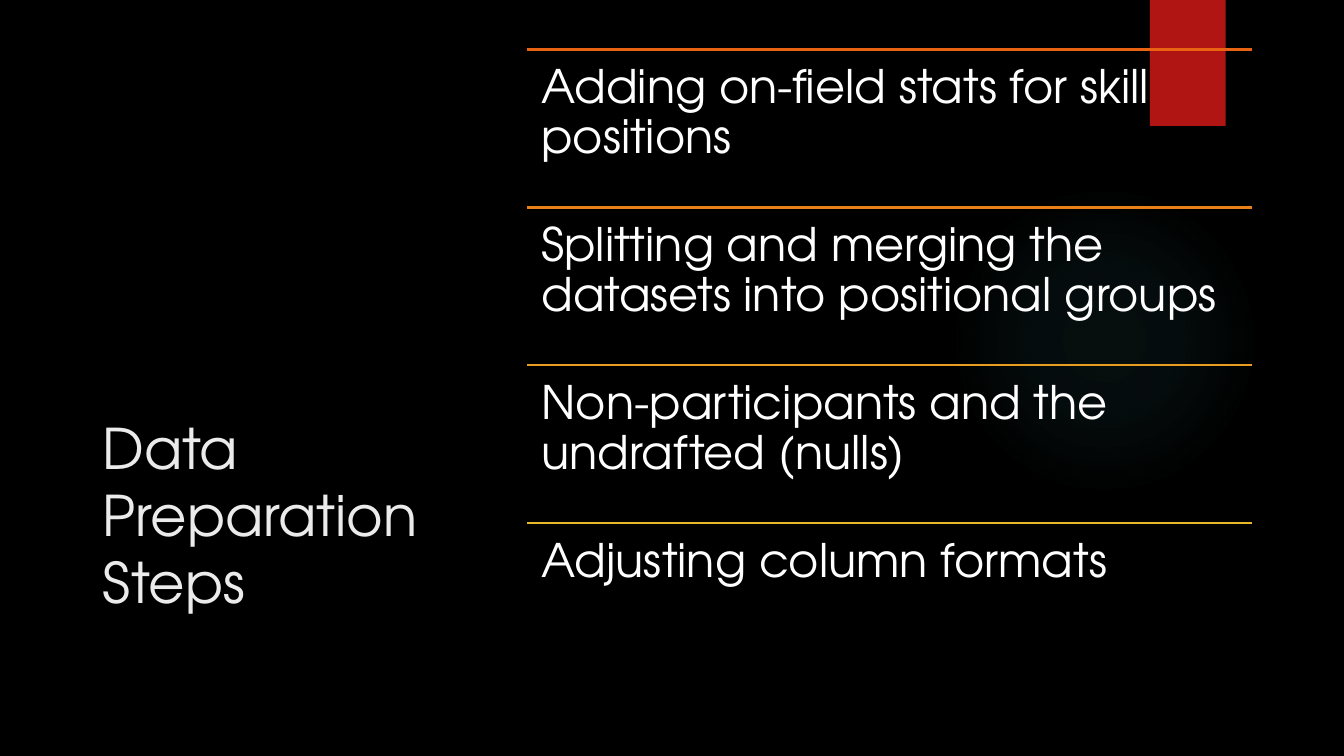
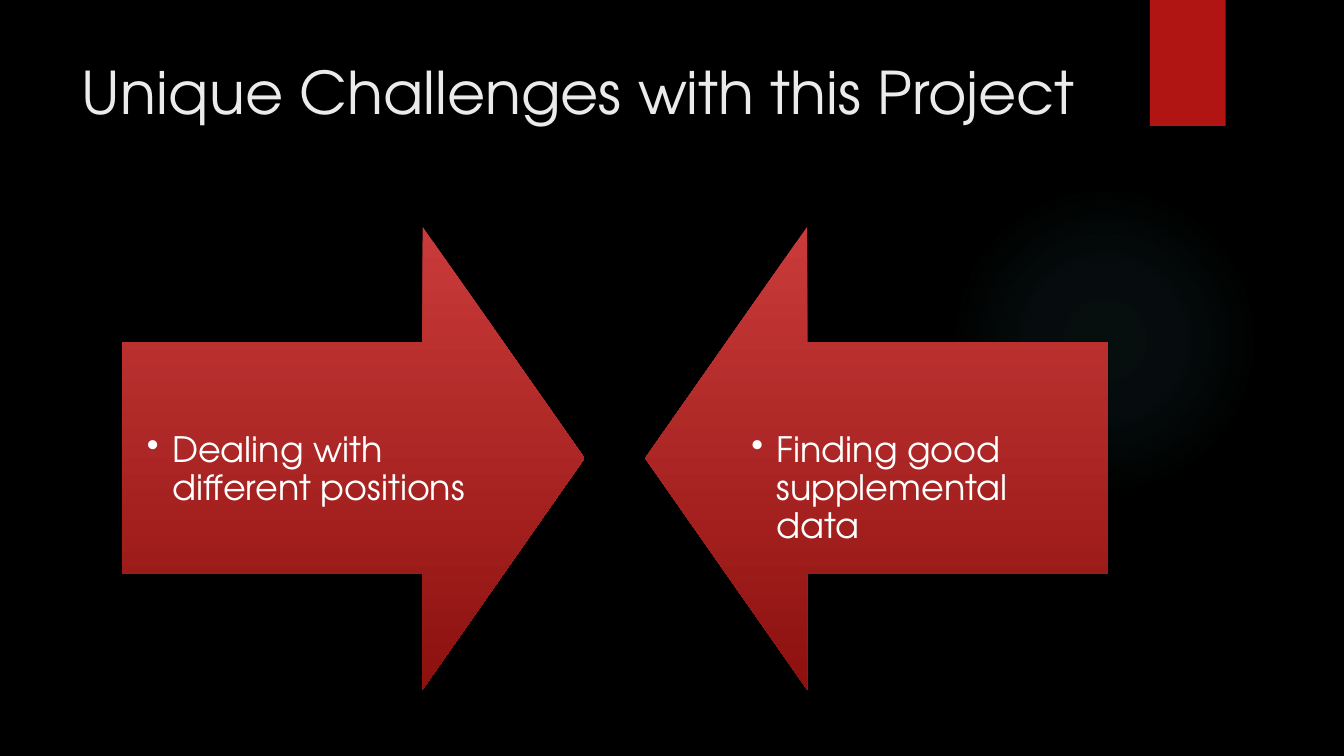
from lxml.etree import SubElement
from pptx import Presentation
from pptx.dml.color import RGBColor
from pptx.enum.shapes import MSO_CONNECTOR as Connector, MSO_SHAPE as Shape
from pptx.enum.text import MSO_ANCHOR as Anchor, MSO_AUTO_SIZE as AutoSize, PP_ALIGN as Align
from pptx.oxml import parse_xml
from pptx.oxml.ns import nsdecls, qn
from pptx.util import Emu, Pt

COLUMNS, ROWS = 160, 90
CELL = 76200
FONT = "TeX Gyre Adventor"
TITLE_ONLY = 5
COLORS = {
    "background": "000000",
    "title": "EBEBEB",
    "text": "FFFFFF",
    "tab": "B01513",
    "glow": "50B9C1",
    "arrow_light": "C93B3A",
    "arrow_dark": "8D110F",
    "step_1": "EA6312",
    "step_2": "EA8118",
    "step_3": "E89D21",
    "step_4": "E6B729",
}
GLOW_STOPS = ((0, 7), (36, 6), (69, 0), (100, 0))


def grid(*cells):
    return [Emu(round(cell * CELL)) for cell in cells]


def color(name):
    return RGBColor.from_string(COLORS[name])


class Deck:
    def __init__(self):
        self.presentation = Presentation()
        self.presentation.slide_width, self.presentation.slide_height = grid(COLUMNS, ROWS)
        background = self.presentation.slide_master.background.fill
        background.solid()
        background.fore_color.rgb = color("background")
        self.slide = None

    def new_slide(self, title, box, size):
        layout = self.presentation.slide_layouts[TITLE_ONLY]
        self.slide = self.presentation.slides.add_slide(layout)
        self.glow(113, 22, 37)
        self.tab(136.9, 0, 9, 15)
        shape = self.slide.shapes.title
        shape.left, shape.top, shape.width, shape.height = grid(*box)
        self.set_text(shape.text_frame, title, size, "title")

    def set_text(self, frame, text, size, ink, spacing=1.0, insets=None, bullet=False):
        frame.word_wrap = True
        frame.auto_size = AutoSize.NONE
        frame.vertical_anchor = Anchor.TOP
        if insets:
            (frame.margin_left, frame.margin_top,
             frame.margin_right, frame.margin_bottom) = grid(*insets)
        paragraph = frame.paragraphs[0]
        paragraph.text = text
        paragraph.alignment = Align.LEFT
        paragraph.line_spacing = spacing
        if bullet:
            indent = 3 * CELL
            properties = paragraph._p.get_or_add_pPr()
            properties.set("marL", str(indent))
            properties.set("indent", str(-indent))
            SubElement(properties, qn("a:buChar")).set("char", "•")
        paragraph.font.name = FONT
        paragraph.font.size = Pt(size)
        paragraph.font.color.rgb = color(ink)

    def shape(self, kind, *box):
        shape = self.slide.shapes.add_shape(kind, *grid(*box))
        shape.shadow.inherit = False
        shape.line.fill.background()
        return shape

    def glow(self, left, top, diameter):
        shape = self.shape(Shape.OVAL, left, top, diameter, diameter)
        shape.fill.background()
        stops = "".join(
            f'<a:gs pos="{position * 1000}"><a:srgbClr val="{COLORS["glow"]}">'
            f'<a:alpha val="{opacity * 1000}"/></a:srgbClr></a:gs>'
            for position, opacity in GLOW_STOPS)
        gradient = parse_xml(
            f'<a:gradFill {nsdecls("a")}><a:gsLst>{stops}</a:gsLst><a:path path="circle">'
            '<a:fillToRect l="50000" t="50000" r="50000" b="50000"/></a:path></a:gradFill>')
        properties = shape._element.spPr
        properties.replace(properties.find(qn("a:noFill")), gradient)

    def tab(self, *box):
        shape = self.shape(Shape.RECTANGLE, *box)
        shape.fill.solid()
        shape.fill.fore_color.rgb = color("tab")

    def rule(self, left, top, width, ink):
        line = self.slide.shapes.add_connector(
            Connector.STRAIGHT, *grid(left, top, left + width, top))
        line.line.color.rgb = color(ink)
        line.line.width = Pt(1.5)
        SubElement(line._element.spPr, qn("a:effectLst"))

    def step(self, text, left, top, width, height, ink):
        self.rule(left, top, width, ink)
        box = self.slide.shapes.add_textbox(*grid(left, top, width, height))
        self.set_text(box.text_frame, text, 33, "text", 0.9, [1.7] * 4)

    def arrow(self, kind, text, left, top, side):
        shape = self.shape(kind, left, top, side, side)
        shape.adjustments[0], shape.adjustments[1] = 0.5, 0.35
        shape.fill.gradient()
        shape.fill.gradient_angle = 270
        for stop, ink in zip(shape.fill.gradient_stops, ("arrow_light", "arrow_dark")):
            stop.color.rgb = color(ink)
        self.set_text(shape.text_frame, text, 25, "text", 0.9, (3, 10.7, 3, 3), bullet=True)


def main():
    deck = Deck()

    deck.new_slide("Data Preparation Steps", (11, 48.6, 42, 32.5), 40)
    steps = (
        "Adding on-field stats for skill positions",
        "Splitting and merging the datasets into positional groups",
        "Non-participants and the undrafted (nulls)",
        "Adjusting column formats",
    )
    step_height = 18.8
    for index, text in enumerate(steps):
        deck.step(text, 62.75, 5.9 + index * step_height, 86.3, step_height,
                  f"step_{index + 1}")

    deck.new_slide("Unique Challenges with this Project", (8.5, 6, 123.5, 18.4), 42)
    deck.arrow(Shape.RIGHT_ARROW, "Dealing with different positions", 14.5, 27, 55.1)
    deck.arrow(Shape.LEFT_ARROW, "Finding good supplemental data", 76.8, 27, 55.1)

    deck.presentation.save("out.pptx")


if __name__ == "__main__":
    main()
